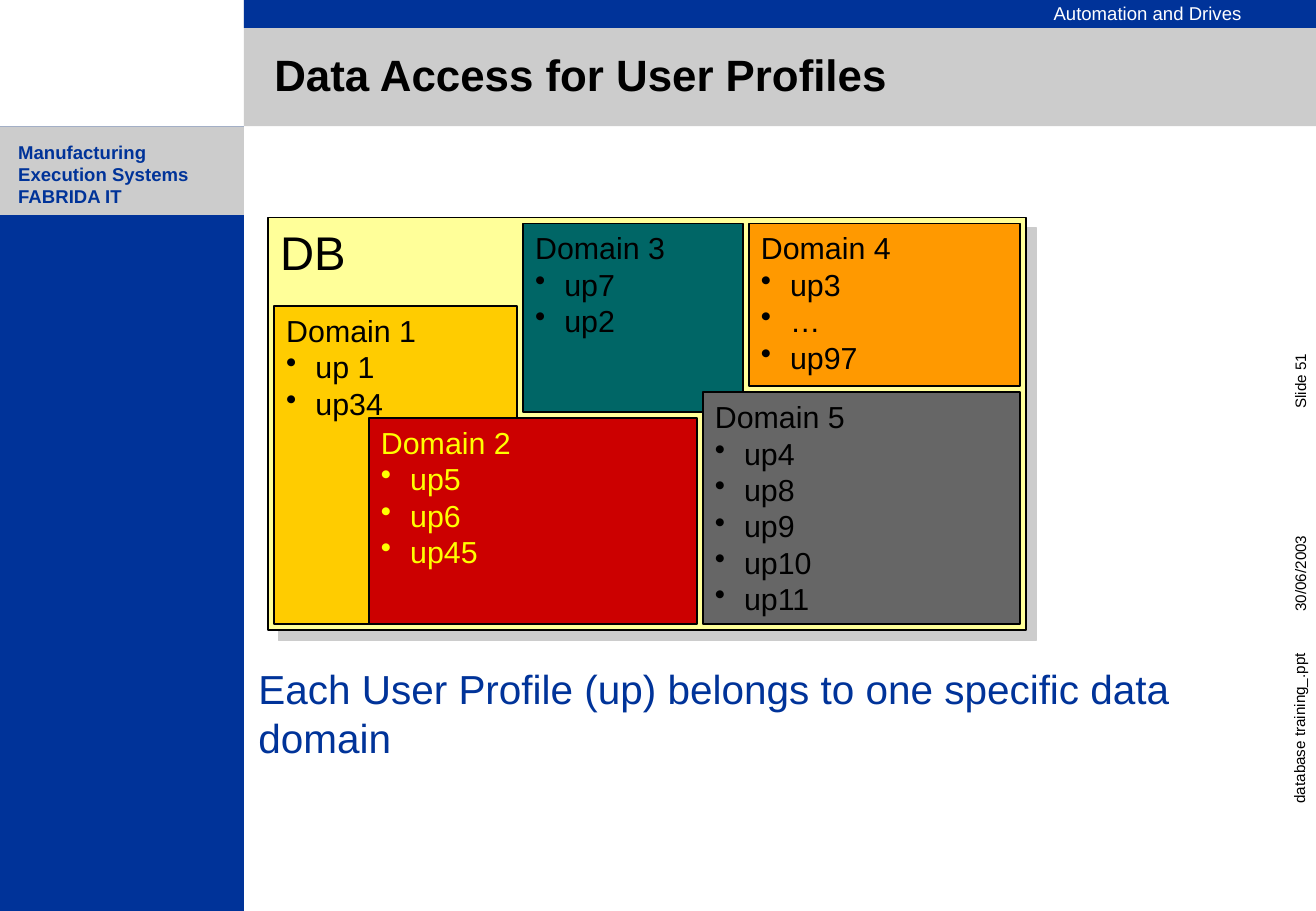
import pptx
import pptx.dml.color
import pptx.enum.shapes
import pptx.enum.text
import pptx.oxml.ns
import pptx.util
import lxml.etree

# Content
TITLE = "Data Access for User Profiles"
HEADER = "Automation and Drives"
SIDEBAR_LINES = ["Manufacturing Execution Systems", "FABRIDA IT"]
STATEMENT = "Each User Profile (up) belongs to one specific data domain"
# Side notes: text, left, top before turning
SIDE_NOTES = [
    ("Slide 51", 9.87, 2.45),
    ("30/06/2003", 9.87, 4.12),
    ("database training_.ppt", 9.86, 5.7),
]
# Domains: name, profiles, first and end column, first and end row, fill, text colour
DOMAINS = [
    ("Domain 1", ["up 1", "up34"], (0, 2), (1, 4), "FFCC00", "000000"),
    ("Domain 2", ["up5", "up6", "up45"], (1, 3), (3, 4), "CC0000", "FFFF00"),
    ("Domain 3", ["up7", "up2"], (2, 4), (0, 3), "006666", "000000"),
    ("Domain 4", ["up3", "…", "up97"], (4, 5), (0, 2), "FF9900", "000000"),
    ("Domain 5", ["up4", "up8", "up9", "up10", "up11"], (3, 5), (2, 4), "666666", "000000"),
]

# Grid, in inches
WIDTH, HEIGHT = 10.84, 7.5
SIDEBAR, BAND, STRIP = 2.01, 1.04, 0.23
COLUMNS = [2.26, 3.04, 4.31, 5.79, 6.17, 8.45]
ROWS = [1.84, 2.52, 3.23, 3.44, 5.19]
GAP = 0.05
BULLET_INDENT = 0.24

BLUE, GREY, BLACK, WHITE = "003399", "CCCCCC", "000000", "FFFFFF"

presentation = pptx.Presentation()
presentation.slide_width = pptx.util.Inches(WIDTH)
presentation.slide_height = pptx.util.Inches(HEIGHT)
slide = presentation.slides.add_slide(presentation.slide_layouts[6])


def color(value):
    return pptx.dml.color.RGBColor.from_string(value)


def add_bullet(paragraph):
    properties = paragraph._p.get_or_add_pPr()
    indent = pptx.util.Inches(BULLET_INDENT)
    properties.set("marL", str(indent))
    properties.set("indent", str(-indent))
    bullet = lxml.etree.SubElement(properties, pptx.oxml.ns.qn("a:buChar"))
    bullet.set("char", "•")


def write(shape, lines, size, ink=BLACK, bold=False, bullets_from=None,
          insets=(0.1, 0.05, 0.1, 0.05), anchor="TOP", spacing=None, wrap=True):
    frame = shape.text_frame
    frame.word_wrap = wrap
    frame.vertical_anchor = getattr(pptx.enum.text.MSO_ANCHOR, anchor)
    (frame.margin_left, frame.margin_top,
     frame.margin_right, frame.margin_bottom) = map(pptx.util.Inches, insets)
    for index, line in enumerate(lines):
        paragraph = frame.add_paragraph() if index else frame.paragraphs[0]
        if bullets_from is not None and index >= bullets_from:
            add_bullet(paragraph)
        paragraph.alignment = pptx.enum.text.PP_ALIGN.LEFT
        if spacing:
            paragraph.line_spacing = spacing
        run = paragraph.add_run()
        run.text = line
        run.font.name = "Arial"
        run.font.size = pptx.util.Pt(size)
        run.font.bold = bold
        run.font.color.rgb = color(ink)


def add_box(left, top, width, height, fill, outline=None):
    shape = slide.shapes.add_shape(
        pptx.enum.shapes.MSO_SHAPE.RECTANGLE,
        *map(pptx.util.Inches, (left, top, width, height)))
    shape.fill.solid()
    shape.fill.fore_color.rgb = color(fill)
    if outline:
        shape.line.color.rgb = color(outline)
        shape.line.width = pptx.util.Pt(1)
    else:
        shape.line.fill.background()
    shape.shadow.inherit = False
    return shape


def add_text(left, top, width, height, lines, size, **formats):
    shape = slide.shapes.add_textbox(*map(pptx.util.Inches, (left, top, width, height)))
    write(shape, lines, size, **formats)
    return shape


def add_shadow(shape, ink, distance, degrees):
    effects = shape._element.spPr.find(pptx.oxml.ns.qn("a:effectLst"))
    shadow = lxml.etree.SubElement(
        effects, pptx.oxml.ns.qn("a:outerShdw"), blurRad="0",
        dist=str(pptx.util.Pt(distance)), dir=str(degrees * 60000),
        algn="ctr", rotWithShape="0")
    lxml.etree.SubElement(shadow, pptx.oxml.ns.qn("a:srgbClr"), val=ink)


# Header band and sidebar
add_box(SIDEBAR, 0, WIDTH - SIDEBAR, BAND, GREY)
add_box(SIDEBAR, 0, WIDTH - SIDEBAR, STRIP, BLUE)
add_text(8.58, -0.01, 1.75, 0.27, [HEADER], 11, ink=WHITE, spacing=0.9, wrap=False)
add_box(0, BAND, SIDEBAR, HEIGHT - BAND, BLUE)
add_box(0, BAND, SIDEBAR, 0.73, GREY)
add_text(0.11, 1.16, 1.87, 0.55, SIDEBAR_LINES, 11, ink=BLUE, bold=True,
         insets=(0.04, 0, 0.04, 0))

# Notes turned along the right edge
for note, left, top in SIDE_NOTES:
    add_text(left, top, 1.68, 0.25, [note], 9, insets=(0.05,) * 4).rotation = 270

# Title
add_text(COLUMNS[0], STRIP, WIDTH - COLUMNS[0], BAND - STRIP, [TITLE], 26, bold=True,
         insets=(0, 0, 0.1, 0), anchor="MIDDLE", spacing=0.9)

# Database frame
database = add_box(COLUMNS[0] - GAP, ROWS[0] - GAP, COLUMNS[-1] - COLUMNS[0] + GAP,
                   ROWS[-1] - ROWS[0] + GAP, "FFFF99", BLACK)
add_shadow(database, GREY, 8.5, 45)
write(database, ["DB"], 28)

# Domains, one gap apart
for name, profiles, (first, end), (upper, lower), fill, ink in DOMAINS:
    domain = add_box(COLUMNS[first], ROWS[upper], COLUMNS[end] - COLUMNS[first] - GAP,
                     ROWS[lower] - ROWS[upper] - GAP, fill, BLACK)
    write(domain, [name] + profiles, 18, ink=ink, bullets_from=1)

# Statement below the frame
add_text(2.03, 5.42, 8.51, 1.33, [STATEMENT], 24, ink=BLUE)

presentation.save("out.pptx")
